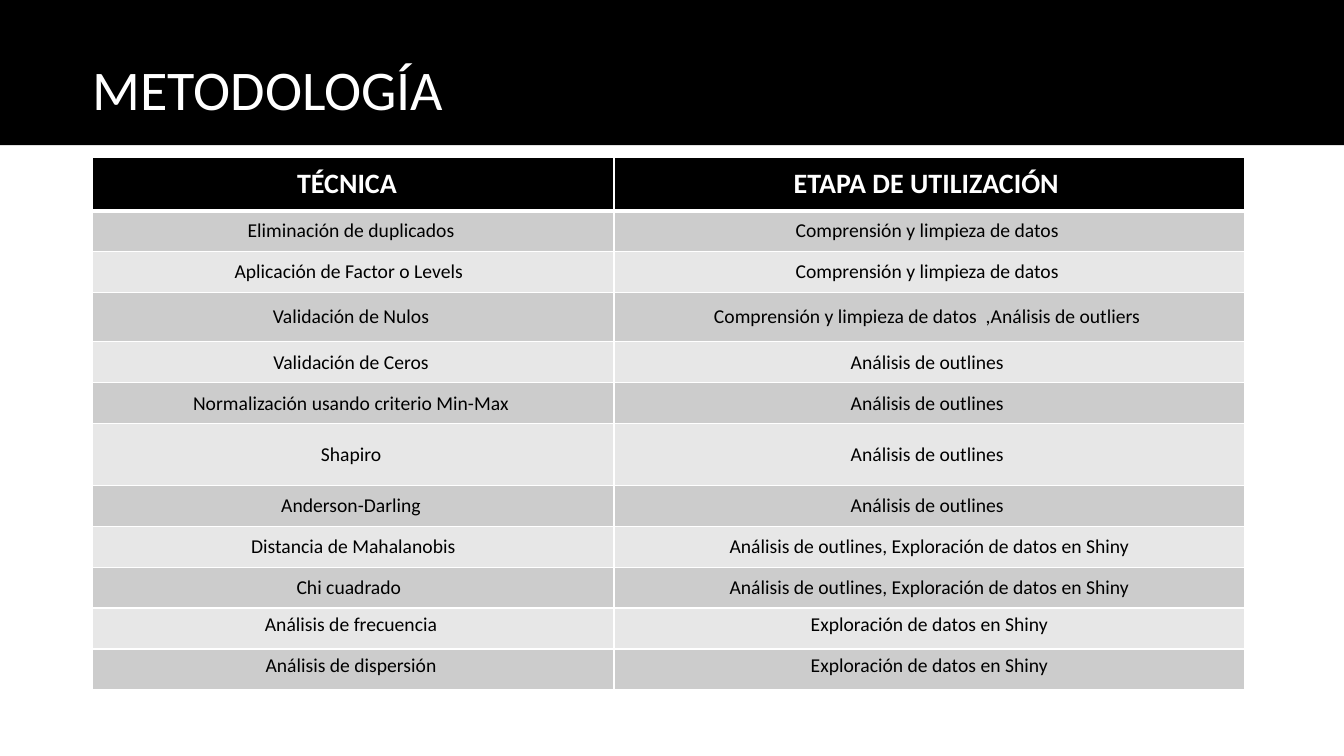
from dataclasses import dataclass

from lxml import etree
from pptx import Presentation
from pptx import util as u
from pptx.dml.color import RGBColor
from pptx.enum import shapes, text
from pptx.oxml import ns

BLACK = RGBColor(0x00, 0x00, 0x00)
WHITE = RGBColor(0xFF, 0xFF, 0xFF)
DARK_BAND = RGBColor(0xCC, 0xCC, 0xCC)
LIGHT_BAND = RGBColor(0xE7, 0xE7, 0xE7)
FONT = "Calibri"
SLIDE_WIDTH, SLIDE_HEIGHT = u.Inches(13.33), u.Inches(7.5)

LEFT_MARGIN = 6.9
BANNER_HEIGHT = 19.2
TITLE_TOP = 5.33
TABLE_TOP = 20.8
COLUMN_WIDTHS = (38.78, 46.96)
HEADER_HEIGHT = 7.07
ROW_HEIGHT = 5.42

CLEANING = "Comprensión y limpieza de datos "
OUTLINES = "Análisis de outlines"
SHINY = "Exploración de datos en Shiny"


@dataclass(frozen=True)
class Technique:
    name: str
    stage: str
    height: float = ROW_HEIGHT
    anchor: text.MSO_ANCHOR = text.MSO_ANCHOR.MIDDLE


@dataclass(frozen=True)
class Style:
    size: int
    color: RGBColor
    fill: RGBColor
    bold: bool = False
    top: int = 1
    bottom: int = 1


HEADER = Technique("TÉCNICA  ", "ETAPA DE UTILIZACIÓN ", HEADER_HEIGHT)
TECHNIQUES = (
    Technique("Eliminación de duplicados ", CLEANING),
    Technique("Aplicación de Factor o Levels  ", CLEANING),
    Technique("Validación de Nulos ", f"{CLEANING} ,Análisis de outliers ", 6.53),
    Technique("Validación de Ceros ", f"{OUTLINES} "),
    Technique("Normalización usando criterio Min-Max ", f"{OUTLINES} "),
    Technique("Shapiro ", f"{OUTLINES} ", 8.13),
    Technique("Anderson-Darling ", f"{OUTLINES} "),
    Technique("Distancia de Mahalanobis", f"{OUTLINES}, {SHINY}"),
    Technique("Chi cuadrado  ", f"{OUTLINES}, {SHINY}"),
    Technique("Análisis de frecuencia ", SHINY, anchor=text.MSO_ANCHOR.TOP),
    Technique("Análisis de dispersión ", SHINY, anchor=text.MSO_ANCHOR.TOP),
)


def across(percent: float) -> int:
    return round(SLIDE_WIDTH * percent / 100)


def down(percent: float) -> int:
    return round(SLIDE_HEIGHT * percent / 100)


def format_para(para, size: int, color: RGBColor, bold: bool = False) -> None:
    for span in para.runs:
        span.font.name = FONT
        span.font.size = u.Pt(size)
        span.font.bold = bold
        span.font.color.rgb = color


def draw_banner(page) -> None:
    banner = page.shapes.add_shape(
        shapes.MSO_SHAPE.RECTANGLE, 0, 0, SLIDE_WIDTH, down(BANNER_HEIGHT)
    )
    banner.shadow.inherit = False
    banner.fill.solid()
    banner.fill.fore_color.rgb = BLACK
    banner.line.fill.background()


def draw_title(page, title: str) -> None:
    box = page.shapes.add_textbox(
        across(LEFT_MARGIN), down(TITLE_TOP),
        across(93.8), down(BANNER_HEIGHT - TITLE_TOP),
    )
    frame = box.text_frame
    frame.word_wrap = True
    frame.vertical_anchor = text.MSO_ANCHOR.MIDDLE
    frame.margin_left = frame.margin_right = 0
    frame.margin_top = frame.margin_bottom = 0
    frame.text = title
    para = frame.paragraphs[0]
    para.line_spacing = 0.9
    format_para(para, 40, WHITE)


def draw_border(cell, side: str, points: int) -> None:
    properties = cell._tc.get_or_add_tcPr()
    line = etree.SubElement(properties, ns.qn(f"a:ln{side}"), w=str(u.Pt(points)))
    fill = etree.SubElement(line, ns.qn("a:solidFill"))
    etree.SubElement(fill, ns.qn("a:srgbClr"), val=str(WHITE))


def draw_cell(cell, wording: str, anchor: text.MSO_ANCHOR, style: Style) -> None:
    for side, points in (("L", 1), ("R", 1), ("T", style.top), ("B", style.bottom)):
        draw_border(cell, side, points)
    cell.fill.solid()
    cell.fill.fore_color.rgb = style.fill
    cell.vertical_anchor = anchor
    cell.text_frame.text = wording
    para = cell.text_frame.paragraphs[0]
    para.alignment = text.PP_ALIGN.CENTER
    format_para(para, style.size, style.color, style.bold)


def row_style(index: int) -> Style:
    if index == 0:
        return Style(20, WHITE, BLACK, bold=True, bottom=3)
    band = DARK_BAND if index % 2 else LIGHT_BAND
    return Style(14, BLACK, band, top=3 if index == 1 else 1)


def draw_table(page, rows: tuple[Technique, ...]) -> None:
    table = page.shapes.add_table(
        len(rows), len(COLUMN_WIDTHS), across(LEFT_MARGIN), down(TABLE_TOP),
        across(sum(COLUMN_WIDTHS)), down(sum(row.height for row in rows)),
    ).table
    for column, width in zip(table.columns, COLUMN_WIDTHS):
        column.width = across(width)
    for index, row in enumerate(rows):
        table.rows[index].height = down(row.height)
        for cell, wording in zip(table.rows[index].cells, (row.name, row.stage)):
            draw_cell(cell, wording, row.anchor, row_style(index))


def main() -> None:
    deck = Presentation()
    deck.slide_width, deck.slide_height = SLIDE_WIDTH, SLIDE_HEIGHT
    page = deck.slides.add_slide(deck.slide_layouts[6])
    draw_banner(page)
    draw_title(page, "METODOLOGÍA")
    draw_table(page, (HEADER, *TECHNIQUES))
    deck.save("out.pptx")


if __name__ == "__main__":
    main()
